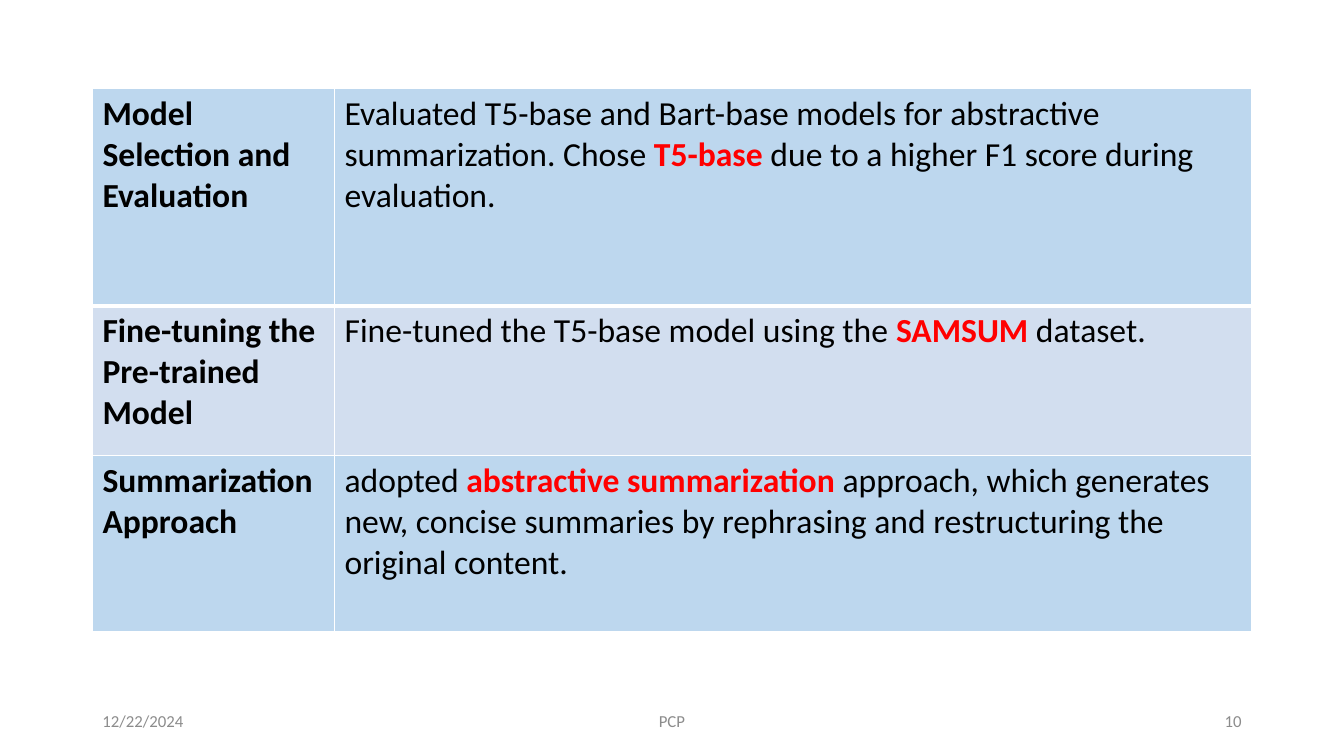
from lxml.etree import SubElement
from pptx import Presentation
from pptx.dml.color import RGBColor
from pptx.enum.text import MSO_ANCHOR as Anchor, PP_ALIGN as Align
from pptx.oxml.ns import qn
from pptx.util import Cm, Pt

ROWS = [
    (5.49, "BDD7EE", "Model Selection and Evaluation",
     ("Evaluated T5-base and Bart-base models for abstractive summarization. Chose ",
      "T5-base", " due to a higher F1 score during evaluation.")),
    (3.76, "D2DEEF", "Fine-tuning the Pre-trained Model",
     ("Fine-tuned the T5-base model using the ", "SAMSUM", " dataset.")),
    (4.45, "BDD7EE", "Summarization Approach",
     ("adopted ", "abstractive summarization ",
      "approach, which generates new, concise summaries by rephrasing and "
      "restructuring the original content.")),
]
FOOTERS = [
    (2.33, 7.62, "12/22/2024", Align.LEFT),
    (11.22, 11.43, "PCP", Align.CENTER),
    (23.92, 7.62, "10", Align.RIGHT),
]


def color(value):
    return RGBColor.from_string(value)


class SlideBuilder:
    """Holds the text style and the slide being built."""

    font_name = "Calibri"
    text_color = "000000"
    accent_color = "FF0000"
    footer_color = "8C8C8C"
    border_color = "FFFFFF"

    def __init__(self, slide):
        self.slide = slide

    def style(self, font, size, font_color, bold=False):
        font.name = self.font_name
        font.size = Pt(size)
        font.bold = bold
        font.color.rgb = color(font_color)

    def footer(self, left, width, text, alignment):
        box = self.slide.shapes.add_textbox(Cm(left), Cm(17.65), Cm(width), Cm(1.01))
        frame = box.text_frame
        frame.word_wrap = True
        frame.vertical_anchor = Anchor.MIDDLE
        paragraph = frame.paragraphs[0]
        paragraph.text = text
        paragraph.alignment = alignment
        self.style(paragraph.font, 12, self.footer_color)

    def border(self, cell, side, width):
        properties = cell._tc.get_or_add_tcPr()
        line = SubElement(properties, qn(f"a:ln{side}"), w=str(Pt(width)))
        fill = SubElement(line, qn("a:solidFill"))
        SubElement(fill, qn("a:srgbClr"), val=self.border_color)

    def cell(self, cell, fill_color, runs, bold, thick_side):
        for side in "LRTB":
            self.border(cell, side, 3 if side == thick_side else 1)
        cell.fill.solid()
        cell.fill.fore_color.rgb = color(fill_color)
        paragraph = cell.text_frame.paragraphs[0]
        self.style(paragraph.font, 24, self.text_color, bold)
        for index, text in enumerate(runs):
            run = paragraph.add_run()
            run.text = text
            accented = index % 2 == 1
            run_color = self.accent_color if accented else self.text_color
            self.style(run.font, 24, run_color, bold or accented)

    def table(self, left, top, column_widths, rows):
        height = sum(row[0] for row in rows)
        table = self.slide.shapes.add_table(
            len(rows), len(column_widths), Cm(left), Cm(top),
            Cm(sum(column_widths)), Cm(height)).table
        table.horz_banding = False
        for column, width in zip(table.columns, column_widths):
            column.width = Cm(width)
        thick_sides = {0: "B", 1: "T"}
        for index, (row_height, fill_color, heading, runs) in enumerate(rows):
            table.rows[index].height = Cm(row_height)
            thick_side = thick_sides.get(index)
            self.cell(table.cell(index, 0), fill_color, (heading,), True, thick_side)
            self.cell(table.cell(index, 1), fill_color, runs, False, thick_side)


def main():
    presentation = Presentation()
    presentation.slide_width = Cm(33.87)
    presentation.slide_height = Cm(19.05)
    blank_layout = presentation.slide_layouts[6]
    builder = SlideBuilder(presentation.slides.add_slide(blank_layout))
    for footer in FOOTERS:
        builder.footer(*footer)
    builder.table(2.33, 2.22, (6.1, 23.11), ROWS)
    presentation.save("out.pptx")


if __name__ == "__main__":
    main()
